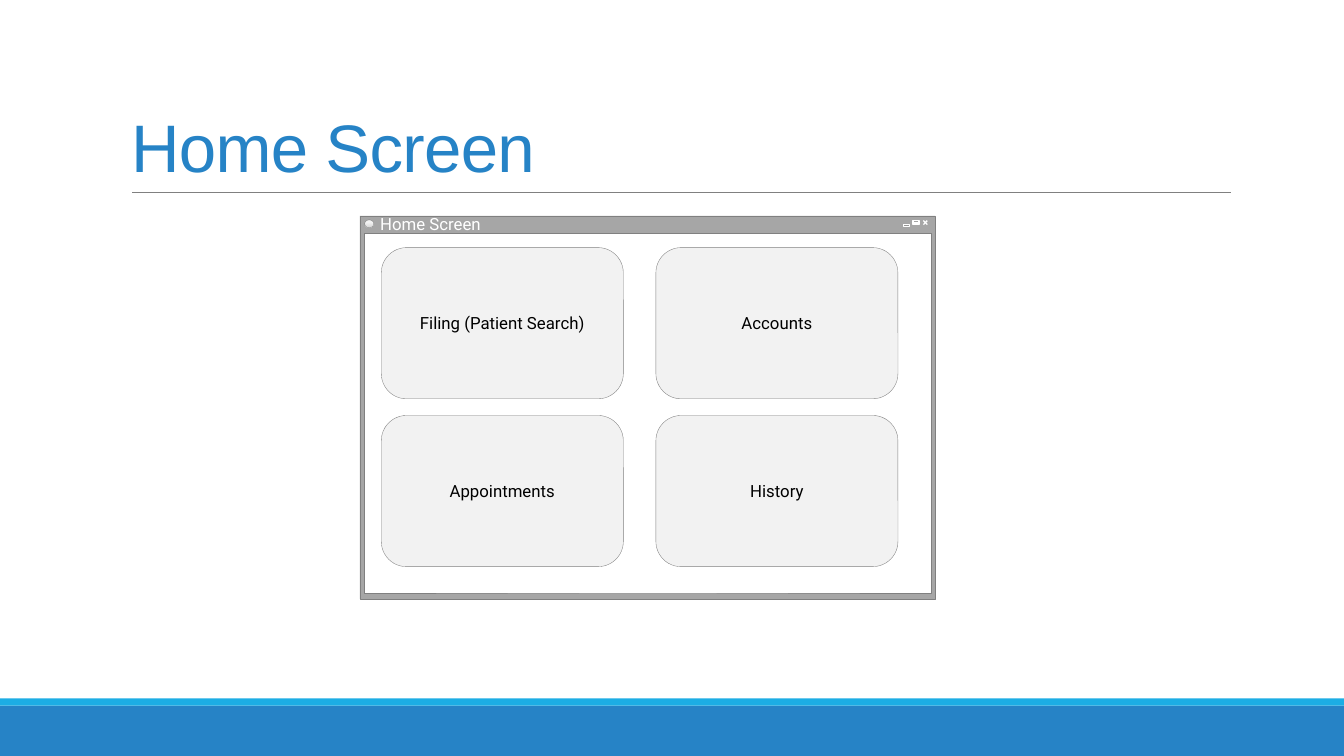
"""Build the Home Screen wireframe slide."""
import pptx
import pptx.util
import pptx.dml.color
import pptx.enum.shapes
import pptx.enum.text
import lxml.etree

Cm, Pt = pptx.util.Cm, pptx.util.Pt
SHAPE = pptx.enum.shapes.MSO_SHAPE
ALIGN = pptx.enum.text.PP_ALIGN
ANCHOR = pptx.enum.text.MSO_ANCHOR
GREY, WHITE, PALE = "808080", "FFFFFF", "F2F2F2"


def paint(colour_format, colour):
    colour_format.rgb = pptx.dml.color.RGBColor.from_string(colour)


def block(kind, left, top, width, height, fill=None, line=None, weight=0.25):
    part = slide.shapes.add_shape(kind, Cm(left), Cm(top), Cm(width), Cm(height))
    part.shadow.inherit = False
    if fill:
        part.fill.solid()
        paint(part.fill.fore_color, fill)
    else:
        part.fill.background()
    if line:
        paint(part.line.color, line)
        part.line.width = Pt(weight)
    else:
        part.line.fill.background()
    return part


deck = pptx.Presentation()
deck.slide_width, deck.slide_height = Cm(33.87), Cm(19.05)
slide = deck.slides.add_slide(deck.slide_layouts[5])

block(SHAPE.RECTANGLE, 0, 17.78, 33.87, 1.27, "2683C6")
block(SHAPE.RECTANGLE, 0, 17.6, 33.87, 0.18, "1CADE4")

heading = slide.shapes.title
heading.left, heading.top, heading.width, heading.height = Cm(3.05), Cm(0.79), Cm(27.94), Cm(4.04)
heading.text_frame.text = "Home Screen"
heading.text_frame.vertical_anchor = ANCHOR.BOTTOM
heading.text_frame.auto_size = pptx.enum.text.MSO_AUTO_SIZE.NONE
heading_line = heading.text_frame.paragraphs[0]
heading_line.alignment = ALIGN.LEFT
heading_line.line_spacing = 0.85
heading_line.font.name, heading_line.font.size = "Arial", Pt(48)
paint(heading_line.font.color, "2683C6")
heading_line.runs[0].font._element.set("spc", "-50")

block(SHAPE.RECTANGLE, 9.07, 5.44, 14.5, 9.65, "A6A6A6", GREY)
block(SHAPE.RECTANGLE, 9.19, 5.88, 14.27, 9.06, WHITE, GREY)

caption = slide.shapes.add_textbox(Cm(9.45), Cm(5.33), Cm(3.23), Cm(0.64)).text_frame
caption.word_wrap = True
caption.vertical_anchor = ANCHOR.MIDDLE
caption.margin_left, caption.margin_top = Cm(0.13), Cm(0.05)
caption.margin_right, caption.margin_bottom = Cm(0.25), Cm(0.08)
caption.text = "Home Screen"
caption_font = caption.paragraphs[0].font
caption_font.name, caption_font.size = "Roboto", Pt(12)
paint(caption_font.color, WHITE)

close_left, close_right, close_top, close_bottom = 23.27, 23.37, 5.56, 5.66
divider = (3.33, 4.84, 31.01, 4.84, GREY, 0.5)
close_down = (close_left, close_top, close_right, close_bottom, WHITE, 1)
close_up = (close_right, close_top, close_left, close_bottom, WHITE, 1)
for x1, y1, x2, y2, colour, weight in (divider, close_down, close_up):
    stroke = slide.shapes.add_connector(
        pptx.enum.shapes.MSO_CONNECTOR.STRAIGHT, Cm(x1), Cm(y1), Cm(x2), Cm(y2))
    paint(stroke.line.color, colour)
    stroke.line.width = Pt(weight)
    lxml.etree.SubElement(stroke._element.spPr, pptx.oxml.ns.qn("a:effectLst"))

block(SHAPE.RECTANGLE, 23.01, 5.59, 0.15, 0.03, "919191", WHITE)
block(SHAPE.RECTANGLE, 23.01, 5.56, 0.15, 0.1, None, WHITE, 1)
block(SHAPE.RECTANGLE, 22.76, 5.66, 0.15, 0.03, "919191", WHITE)

menu_button = block(SHAPE.OVAL, 9.19, 5.54, 0.23, 0.2, PALE, GREY)
menu_button.fill.gradient()
menu_button.fill.gradient_angle = 270
for stop, (position, colour) in zip(menu_button.fill.gradient_stops, ((0.36, PALE), (0.91, "D9D9D9"))):
    stop.position = position
    paint(stop.color, colour)

tiles = (("Filing (Patient Search)", "Accounts"), ("Appointments", "History"))
for row, labels in enumerate(tiles):
    for column, label in enumerate(labels):
        tile = block(SHAPE.ROUNDED_RECTANGLE, 9.61 + 6.92 * column, 6.24 + 4.23 * row,
                     6.1, 3.81, PALE, GREY).text_frame
        tile.word_wrap = True
        tile.vertical_anchor = ANCHOR.MIDDLE
        tile.margin_top, tile.margin_bottom = Cm(0), Cm(0.03)
        tile.text = label
        tile_line = tile.paragraphs[0]
        tile_line.alignment = ALIGN.CENTER
        tile_line.font.name, tile_line.font.size = "Roboto", Pt(12)
        paint(tile_line.font.color, "000000")

deck.save("out.pptx")
